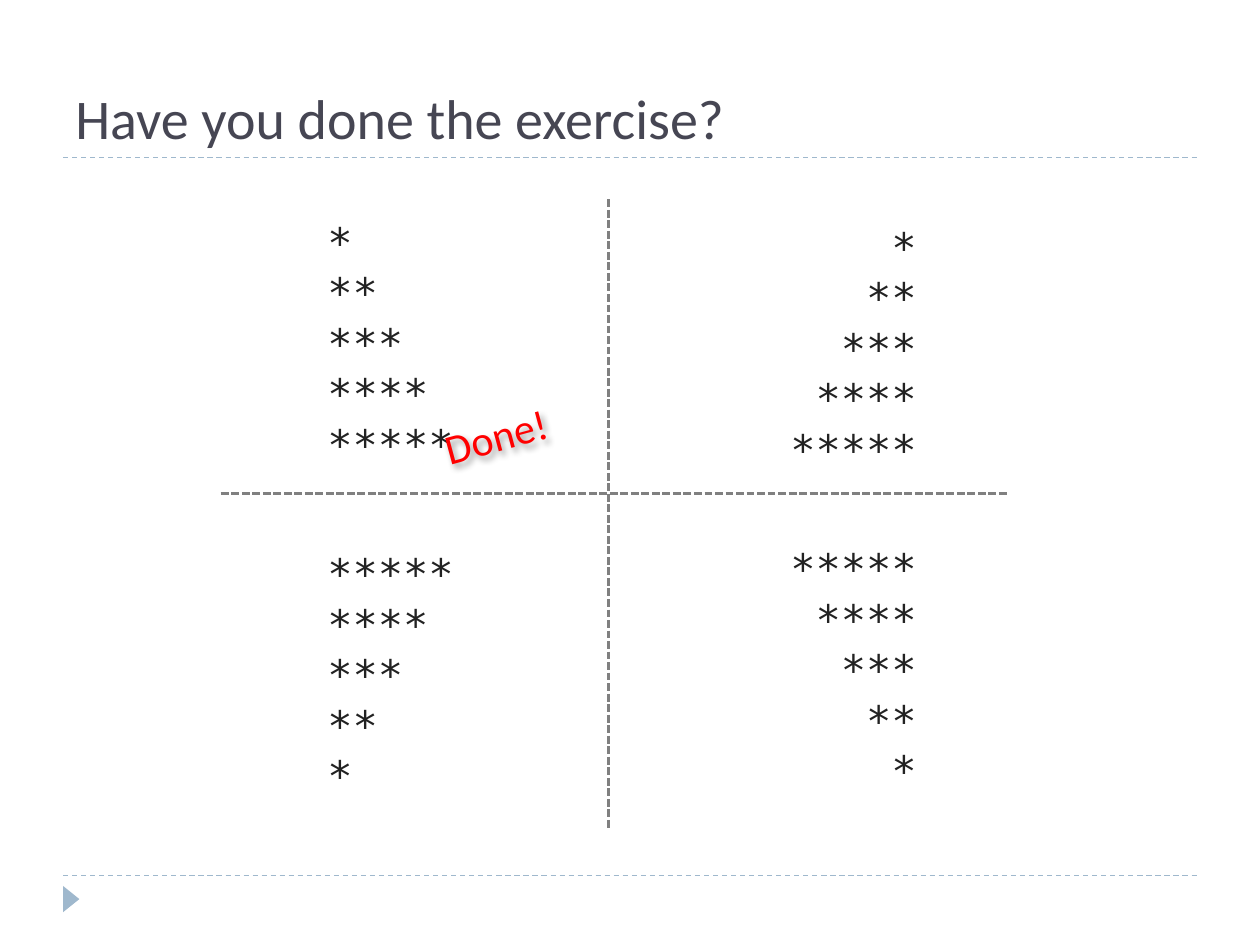
"""Build the star triangle exercise slide."""
from lxml import etree
from pptx import Presentation
from pptx import util as u
from pptx.dml.color import RGBColor
from pptx.enum import dml, shapes, text
from pptx.oxml.ns import qn

SIZE = (25.4, 19.05)
TITLE = "Have you done the exercise?"
VERDICT = "Done!"
RISING = range(1, 6)
FALLING = range(5, 0, -1)
LEFT, RIGHT = text.PP_ALIGN.LEFT, text.PP_ALIGN.RIGHT
STAR_BOX = (3.38, 5.38)
TRIANGLES = [
    (6.35, 4.24, RISING, LEFT),
    (15.67, 4.34, RISING, RIGHT),
    (6.35, 10.92, FALLING, LEFT),
    (15.67, 10.82, FALLING, RIGHT),
]
RULES = [
    ((1.27, 17.65, 24.13, 17.65), "9FB8CD", 0.75, dml.MSO_LINE.DASH),
    ((1.27, 3.18, 24.13, 3.18), "9FB8CD", 0.75, dml.MSO_LINE.DASH),
    ((12.27, 4.02, 12.27, 16.72), "808080", 1.5, dml.MSO_LINE.SQUARE_DOT),
    ((4.45, 9.95, 20.32, 9.95), "808080", 1.5, dml.MSO_LINE.SQUARE_DOT),
]
TITLE_FONT = {"name": "Calibri", "size": u.Pt(32), "color": "464653"}
STAR_FONT = {"name": "DejaVu Sans Mono", "size": u.Pt(24), "color": "222222"}
VERDICT_FONT = {"name": "Calibri", "size": u.Pt(24), "color": "FF0000"}


def cm(*lengths):
    return [u.Cm(length) for length in lengths]


def paint(color_format, value):
    color_format.rgb = RGBColor.from_string(value)


def add_text(slide, place, wording, font, align=LEFT, **frame_format):
    box = slide.shapes.add_textbox(*cm(*place))
    frame = box.text_frame
    for key, value in {"word_wrap": True, **frame_format}.items():
        setattr(frame, key, value)
    paragraph = frame.paragraphs[0]
    paragraph.text = wording
    paragraph.alignment = align
    for run in paragraph.runs:
        for key, value in font.items():
            if key == "color":
                paint(run.font.color, value)
            else:
                setattr(run.font, key, value)
    return box


def add_rule(slide, ends, color, width, dash):
    rule = slide.shapes.add_connector(shapes.MSO_CONNECTOR.STRAIGHT, *cm(*ends))
    rule.line.width = u.Pt(width)
    rule.line.dash_style = dash
    paint(rule.line.color, color)
    etree.SubElement(rule._element.spPr, qn("a:effectLst"))


def add_marker(slide):
    marker = slide.shapes.add_shape(
        shapes.MSO_SHAPE.ISOSCELES_TRIANGLE, *cm(1.17, 17.96, 0.53, 0.33))
    marker.rotation = 90
    marker.shadow.inherit = False
    marker.fill.solid()
    paint(marker.fill.fore_color, "9FB8CD")
    marker.line.fill.background()


def add_soft_shadow(box):
    effects = etree.SubElement(box._element.spPr, qn("a:effectLst"))
    shadow = etree.SubElement(effects, qn("a:outerShdw"), blurRad="50800",
                              dist="38100", dir="2700000", algn="tl")
    black = etree.SubElement(shadow, qn("a:srgbClr"), val="000000")
    etree.SubElement(black, qn("a:alpha"), val="40000")


def main():
    deck = Presentation()
    deck.slide_width, deck.slide_height = cm(*SIZE)
    slide = deck.slides.add_slide(deck.slide_layouts[6])
    for rule in RULES[:2]:
        add_rule(slide, *rule)
    add_marker(slide)
    add_text(slide, (1.27, 0.43, 22.86, 2.74), TITLE, TITLE_FONT,
             vertical_anchor=text.MSO_ANCHOR.BOTTOM)
    for left, top, counts, align in TRIANGLES:
        stars = "\v".join("*" * count for count in counts)
        add_text(slide, (left, top, *STAR_BOX), stars, STAR_FONT, align,
                 margin_right=u.Cm(0.57))
    for rule in RULES[2:]:
        add_rule(slide, *rule)
    verdict = add_text(slide, (8.69, 8.13, 2.69, 1.27), VERDICT, VERDICT_FONT,
                       word_wrap=False)
    verdict.rotation = 344.9
    add_soft_shadow(verdict)
    deck.save("out.pptx")


if __name__ == "__main__":
    main()
